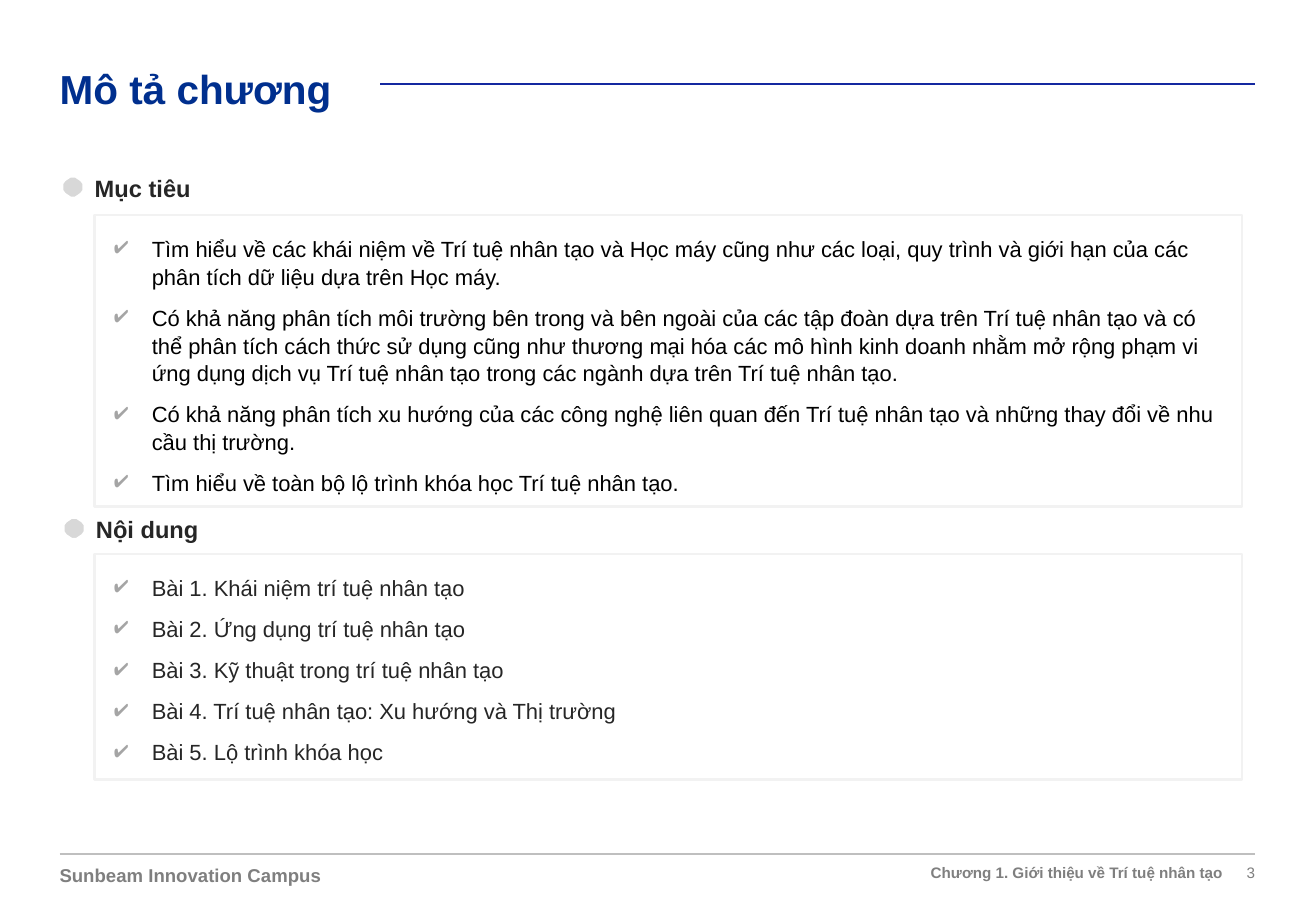
from dataclasses import dataclass

from lxml import etree
from pptx import Presentation
from pptx.dml.color import RGBColor
from pptx.enum.shapes import MSO_CONNECTOR, MSO_SHAPE
from pptx.enum.text import MSO_ANCHOR, MSO_AUTO_SIZE, PP_ALIGN
from pptx.oxml.ns import qn
from pptx.slide import Slide
from pptx.text.text import TextFrame, _Paragraph
from pptx.util import Inches, Pt

LEFT, RIGHT = PP_ALIGN.LEFT, PP_ALIGN.RIGHT
TOP, MIDDLE = MSO_ANCHOR.TOP, MSO_ANCHOR.MIDDLE
NO_AUTOSIZE = MSO_AUTO_SIZE.NONE
STRAIGHT = MSO_CONNECTOR.STRAIGHT
RECTANGLE = MSO_SHAPE.RECTANGLE


@dataclass(frozen=True)
class Style:
    size: float
    color: str
    bold: bool = False
    spacing: float = 1.0


@dataclass(frozen=True)
class Theme:
    font: str = "Arial"
    title: Style = Style(24, "002F8E", True, 1.1)
    heading: Style = Style(14, "262626", True, 1.05)
    goal: Style = Style(13, "000000", spacing=1.05)
    lesson: Style = Style(13, "262626", spacing=1.05)
    campus: Style = Style(11, "7F7F7F", True)
    chapter: Style = Style(9, "7F7F7F", True)
    page: Style = Style(9, "7F7F7F")
    check: str = "A5A5A5"
    box_line: str = "F2F2F2"
    hexagon: str = "D8D8D8"
    hexagon_line: str = "FFFFFF"
    title_rule: str = "1428A0"
    footer_rule: str = "BFBFBF"


@dataclass(frozen=True)
class Section:
    heading: str
    heading_left: float
    heading_top: float
    box_top: float
    box_height: float
    style: Style
    items: tuple[str, ...]


@dataclass(frozen=True)
class Label:
    text: str
    left: float
    width: float
    height: float
    style: Style
    align: PP_ALIGN
    anchor: MSO_ANCHOR


@dataclass(frozen=True)
class Rule:
    left: float
    y: float
    color: str
    weight: float


THEME = Theme()
MARGIN, RIGHT_EDGE = 0.49, 10.33
BOX_LEFT, BOX_WIDTH = 0.78, 9.44
FOOTER_TOP = 7.11

SECTIONS = (
    Section("Mục tiêu", 0.78, 1.42, 1.77, 2.4, THEME.goal, (
        "Tìm hiểu về các khái niệm về Trí tuệ nhân tạo và Học máy cũng như các loại, "
        "quy trình và giới hạn của các phân tích dữ liệu dựa trên Học máy.",
        "Có khả năng phân tích môi trường bên trong và bên ngoài của các tập đoàn dựa "
        "trên Trí tuệ nhân tạo và có thể phân tích cách thức sử dụng cũng như thương "
        "mại hóa các mô hình kinh doanh nhằm mở rộng phạm vi ứng dụng dịch vụ Trí tuệ "
        "nhân tạo trong các ngành dựa trên Trí tuệ nhân tạo.",
        "Có khả năng phân tích xu hướng của các công nghệ liên quan đến Trí tuệ nhân "
        "tạo và những thay đổi về nhu cầu thị trường.",
        "Tìm hiểu về toàn bộ lộ trình khóa học Trí tuệ nhân tạo.",
    )),
    Section("Nội dung", 0.79, 4.23, 4.56, 1.86, THEME.lesson, (
        "Bài 1. Khái niệm trí tuệ nhân tạo",
        "Bài 2. Ứng dụng trí tuệ nhân tạo",
        "Bài 3. Kỹ thuật trong trí tuệ nhân tạo",
        "Bài 4. Trí tuệ nhân tạo: Xu hướng và Thị trường",
        "Bài 5. Lộ trình khóa học",
    )),
)
FOOTER = (
    Label("3", 9.66, 0.67, 0.15, THEME.page, RIGHT, MIDDLE),
    Label("Sunbeam Innovation Campus", MARGIN, 3.16, 0.19, THEME.campus, LEFT, TOP),
    Label("Chương 1. Giới thiệu về Trí tuệ nhân tạo", 5.18, 4.88, 0.15,
          THEME.chapter, RIGHT, MIDDLE),
)
RULES = (
    Rule(MARGIN, 7.03, THEME.footer_rule, 0.75),
    Rule(3.13, 0.69, THEME.title_rule, 1),
)


def rgb(color: str) -> RGBColor:
    return RGBColor.from_string(color)


def set_frame(tf: TextFrame, inset: float = 0, anchor: MSO_ANCHOR = TOP) -> None:
    tf.word_wrap = True
    tf.auto_size = NO_AUTOSIZE
    tf.vertical_anchor = anchor
    tf.margin_left = tf.margin_top = tf.margin_right = tf.margin_bottom = Inches(inset)


def write(p: _Paragraph, text: str, style: Style, align: PP_ALIGN = LEFT) -> None:
    p.alignment = align
    p.line_spacing = style.spacing
    r = p.add_run()
    r.text = text
    r.font.name = THEME.font
    r.font.size = Pt(style.size)
    r.font.bold = style.bold
    r.font.color.rgb = rgb(style.color)


def add_check(p: _Paragraph) -> None:
    """Give the paragraph a hanging grey check mark."""
    pPr = p._p.get_or_add_pPr()
    pPr.set("marL", str(Inches(0.31)))
    pPr.set("indent", str(-Inches(0.31)))
    color = etree.SubElement(pPr, qn("a:buClr"))
    etree.SubElement(color, qn("a:srgbClr"), val=THEME.check)
    etree.SubElement(pPr, qn("a:buChar"), char="✔")


def add_text(s: Slide, label: Label, top: float) -> None:
    sp = s.shapes.add_textbox(Inches(label.left), Inches(top),
                              Inches(label.width), Inches(label.height))
    set_frame(sp.text_frame, anchor=label.anchor)
    write(sp.text_frame.paragraphs[0], label.text, label.style, label.align)


def add_rule(s: Slide, rule: Rule) -> None:
    line = s.shapes.add_connector(STRAIGHT, Inches(rule.left), Inches(rule.y),
                                  Inches(RIGHT_EDGE), Inches(rule.y))
    line.line.color.rgb = rgb(rule.color)
    line.line.width = Pt(rule.weight)
    etree.SubElement(line._element.spPr, qn("a:effectLst"))


def add_hexagon(s: Slide, left: float, top: float) -> None:
    """Draw a hexagon with cut corners, mirrored from its upper right quarter."""
    quarter = ((0.03, -0.12), (0.09, -0.08), (0.12, -0.04))
    half = quarter + tuple((x, -y) for x, y in reversed(quarter))
    outline = half + tuple((-x, -y) for x, y in half)
    points = [(Inches(left + 0.12 + x), Inches(top + 0.13 + y)) for x, y in outline]
    builder = s.shapes.build_freeform(*points[0])
    builder.add_line_segments(points[1:], close=True)
    sp = builder.convert_to_shape()
    sp.shadow.inherit = False
    sp.fill.solid()
    sp.fill.fore_color.rgb = rgb(THEME.hexagon)
    sp.line.color.rgb = rgb(THEME.hexagon_line)
    sp.line.width = Pt(6)


def add_section(s: Slide, section: Section) -> None:
    sp = s.shapes.add_shape(RECTANGLE, Inches(BOX_LEFT), Inches(section.box_top),
                            Inches(BOX_WIDTH), Inches(section.box_height))
    sp.shadow.inherit = False
    sp.fill.background()
    sp.line.color.rgb = rgb(THEME.box_line)
    sp.line.width = Pt(1.5)
    tf = sp.text_frame
    set_frame(tf, 0.16)
    for i, item in enumerate(section.items):
        p = tf.add_paragraph() if i else tf.paragraphs[0]
        add_check(p)
        if i:
            p.space_before = Pt(8)
        write(p, item, section.style)
    add_text(s, Label(section.heading, section.heading_left, BOX_WIDTH, 0.24,
                      THEME.heading, LEFT, TOP), section.heading_top)
    add_hexagon(s, section.heading_left - 0.3, section.heading_top - 0.01)


def main() -> None:
    prs = Presentation()
    prs.slide_width, prs.slide_height = Inches(10.83), Inches(7.5)
    s = prs.slides.add_slide(prs.slide_layouts[5])
    title = s.shapes.title
    title.left, title.top = Inches(MARGIN), Inches(0.49)
    title.width, title.height = Inches(9.6), Inches(0.4)
    set_frame(title.text_frame)
    write(title.text_frame.paragraphs[0], "Mô tả chương", THEME.title)
    for rule in RULES:
        add_rule(s, rule)
    for label in FOOTER:
        add_text(s, label, FOOTER_TOP)
    for section in SECTIONS:
        add_section(s, section)
    prs.save("out.pptx")


if __name__ == "__main__":
    main()
